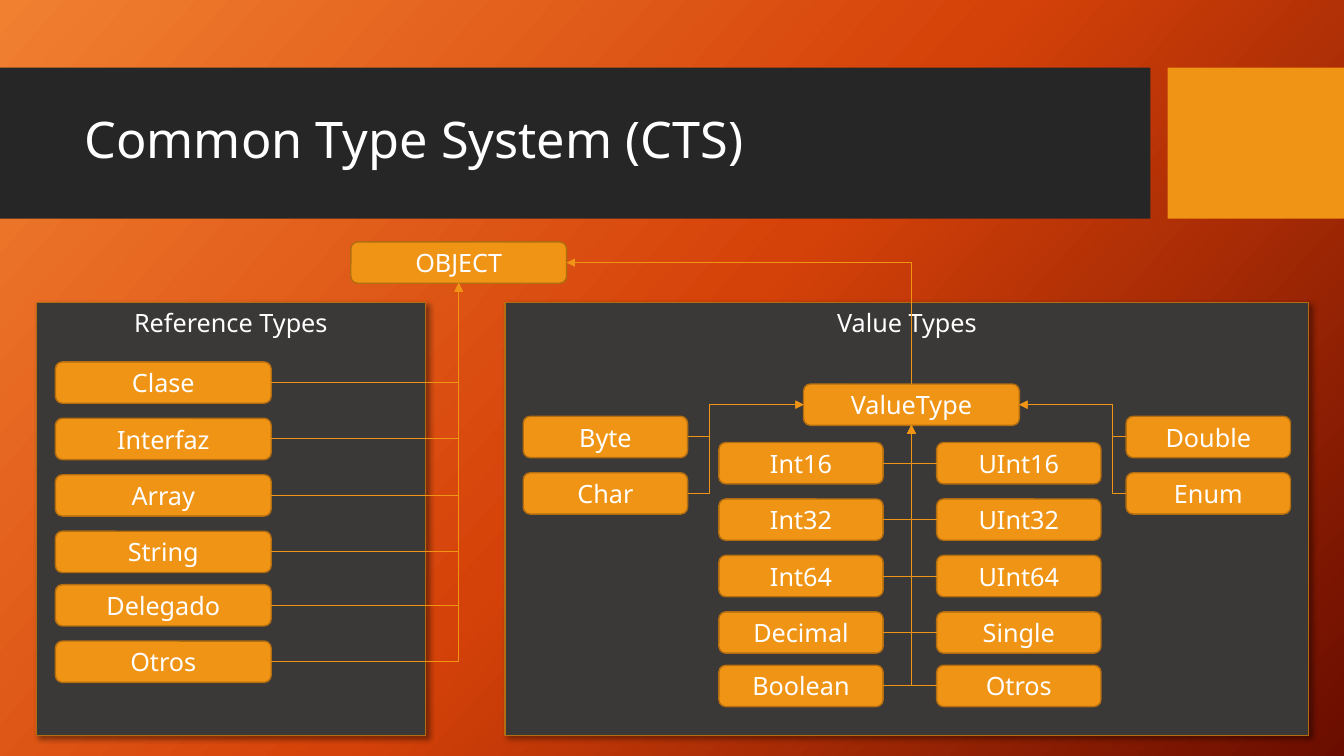
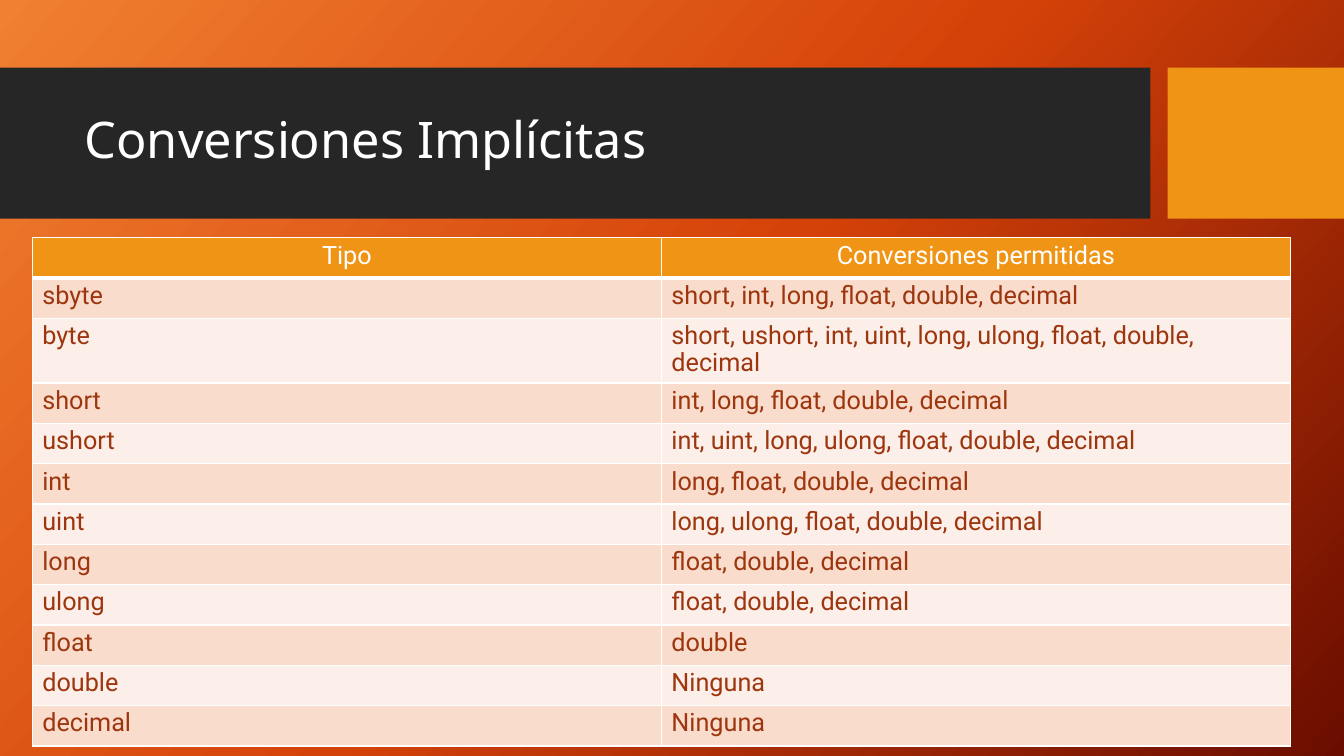
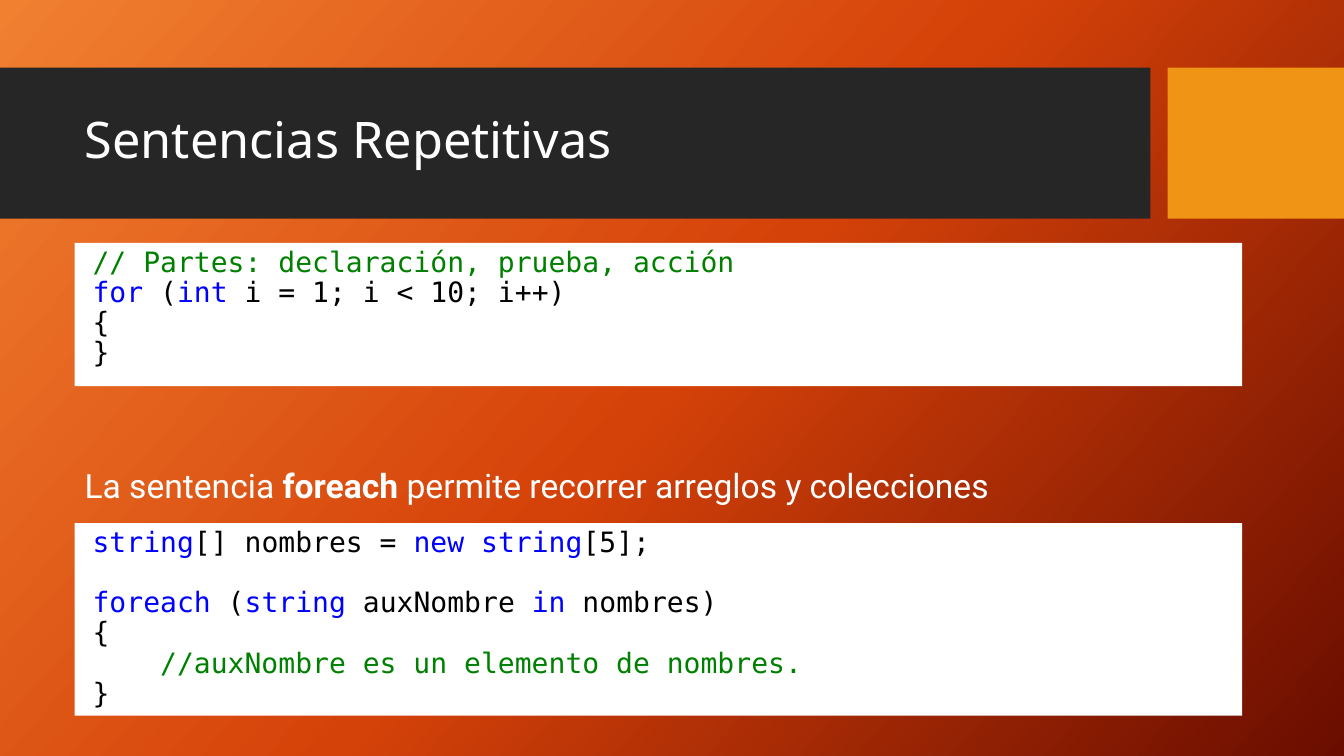
import copy
import enum
from dataclasses import dataclass
from typing import Optional

import lxml.etree
import pptx
import pptx.dml.color
import pptx.enum.shapes
import pptx.enum.text
import pptx.oxml.ns
import pptx.shapes.autoshape
import pptx.shapes.connector
import pptx.slide
import pptx.table
import pptx.text.text
import pptx.util

Inches = pptx.util.Inches
Pt = pptx.util.Pt
qn = pptx.oxml.ns.qn
ShapeKind = pptx.enum.shapes.MSO_SHAPE
Align = pptx.enum.text.PP_ALIGN
Anchor = pptx.enum.text.MSO_ANCHOR

# Shared look
WHITE, BLACK = "FFFFFF", "000000"
ORANGE, ORANGE_EDGE = "F09415", "B26D10"
BAND, PANEL = "262626", "3B3838"
KEYWORD, COMMENT = "0000FF", "008000"
TABLE_TEXT, ROW_FILLS = "9D360E", ("F9DCCC", "FCEEE8")
BACKGROUND = ((0, "F18031"), (0.5, "D54209"), (1, "6A0D00"))
HEADING_FONT, BODY_FONT, CODE_FONT = "Noto Sans", "Roboto", "DejaVu Sans Mono"


class Side(enum.IntEnum):
    TOP = 0
    LEFT = 1
    BOTTOM = 2
    RIGHT = 3


@dataclass(frozen=True)
class Box:
    text: str
    left: float
    top: float
    width: float
    height: float = 0.41


@dataclass(frozen=True)
class Link:
    begin: pptx.shapes.autoshape.Shape
    begin_side: Side
    end: pptx.shapes.autoshape.Shape
    end_side: Side
    bend_x: Optional[float] = None
    arrow: str = "tailEnd"


@dataclass(frozen=True)
class TextRun:
    text: str
    color: str = BLACK
    bold: bool = False


@dataclass(frozen=True)
class CodeLine:
    runs: tuple[TextRun, ...]
    indent: float = 0.08
    space_before: float = 0


def rgb(color: str) -> pptx.dml.color.RGBColor:
    return pptx.dml.color.RGBColor.from_string(color)


def format_run(run: pptx.text.text._Run, font: str, size: float,
               color: str, bold: bool = False) -> None:
    run.font.name = font
    run.font.size = Pt(size)
    run.font.color.rgb = rgb(color)
    run.font.bold = bold


def add_runs(paragraph: pptx.text.text._Paragraph, runs: tuple[TextRun, ...],
             font: str, size: float) -> None:
    for item in runs:
        run = paragraph.add_run()
        run.text = item.text
        format_run(run, font, size, item.color, item.bold)


def add_block(slide: pptx.slide.Slide, box: Box, fill: str,
              edge: Optional[str] = None,
              kind: ShapeKind = ShapeKind.RECTANGLE,
              anchor: Anchor = Anchor.MIDDLE) -> pptx.shapes.autoshape.Shape:
    shape = slide.shapes.add_shape(kind, Inches(box.left), Inches(box.top),
                                   Inches(box.width), Inches(box.height))
    shape.shadow.inherit = False
    shape.fill.solid()
    shape.fill.fore_color.rgb = rgb(fill)
    if edge:
        shape.line.color.rgb = rgb(edge)
        shape.line.width = Pt(1)
    else:
        shape.line.fill.background()
    shape.text_frame.vertical_anchor = anchor
    if box.text:
        shape.text_frame.text = box.text
        paragraph = shape.text_frame.paragraphs[0]
        paragraph.alignment = Align.CENTER
        format_run(paragraph.runs[0], HEADING_FONT, 18, WHITE)
    return shape


def add_type(slide: pptx.slide.Slide, box: Box) -> pptx.shapes.autoshape.Shape:
    return add_block(slide, box, ORANGE, ORANGE_EDGE, ShapeKind.ROUNDED_RECTANGLE)


def add_panel(slide: pptx.slide.Slide, box: Box) -> None:
    panel = add_block(slide, box, PANEL, ORANGE_EDGE, anchor=Anchor.TOP)
    effects = panel._element.spPr.find(qn("a:effectLst"))
    shadow = lxml.etree.SubElement(
        effects, qn("a:outerShdw"), blurRad=str(Pt(4)), dist=str(Pt(3)),
        dir="2700000", algn="tl", rotWithShape="0")
    color = lxml.etree.SubElement(shadow, qn("a:srgbClr"), val=BLACK)
    lxml.etree.SubElement(color, qn("a:alpha"), val="40000")


def add_link(slide: pptx.slide.Slide, link: Link) -> None:
    connector = slide.shapes.add_connector(
        pptx.enum.shapes.MSO_CONNECTOR.ELBOW, 0, 0, 0, 0)
    connector.begin_connect(link.begin, link.begin_side)
    connector.end_connect(link.end, link.end_side)
    connector.line.color.rgb = rgb(ORANGE)
    connector.line.width = Pt(0.75)
    properties = connector._element.spPr
    geometry = properties.find(qn("a:prstGeom"))
    if link.bend_x is None:
        geometry.set("prst", "bentConnector2")
    else:
        share = ((Inches(link.bend_x) - connector.begin_x)
                 / (connector.end_x - connector.begin_x))
        lxml.etree.SubElement(geometry.find(qn("a:avLst")), qn("a:gd"),
                              name="adj1", fmla=f"val {round(share * 100000)}")
    lxml.etree.SubElement(properties.find(qn("a:ln")), qn(f"a:{link.arrow}"),
                          type="triangle")
    lxml.etree.SubElement(properties, qn("a:effectLst"))


def add_titled_slide(presentation: pptx.presentation.Presentation,
                     title: str) -> pptx.slide.Slide:
    slide = presentation.slides.add_slide(presentation.slide_layouts[6])
    # Diagonal background
    fill = slide.background.fill
    fill.gradient()
    fill.gradient_angle = 360 - 42
    stop_list = slide.element.find(".//" + qn("a:gsLst"))
    stop_list.append(copy.deepcopy(stop_list[-1]))
    for stop, (position, color) in zip(fill.gradient_stops, BACKGROUND):
        stop.position = position
        stop.color.rgb = rgb(color)
    # Bands and title
    add_block(slide, Box("", 0, 0.67, 11.41, 1.5), BAND)
    add_block(slide, Box("", 11.58, 0.67, 1.75, 1.5), ORANGE)
    text_box = slide.shapes.add_textbox(Inches(0.74), Inches(0.82),
                                        Inches(10.51), Inches(1.18))
    text_frame = text_box.text_frame
    text_frame.word_wrap = True
    text_frame.vertical_anchor = Anchor.MIDDLE
    text_frame.text = title
    paragraph = text_frame.paragraphs[0]
    paragraph.line_spacing = 0.9
    format_run(paragraph.runs[0], HEADING_FONT, 36, WHITE)
    return slide


def set_borders(cell: pptx.table._Cell, top: float, bottom: float) -> None:
    properties = cell._tc.get_or_add_tcPr()
    widths = {"lnL": 1, "lnR": 1, "lnT": top, "lnB": bottom}
    for index, (name, width) in enumerate(widths.items()):
        line = lxml.etree.Element(qn(f"a:{name}"), w=str(Pt(width)))
        solid = lxml.etree.SubElement(line, qn("a:solidFill"))
        lxml.etree.SubElement(solid, qn("a:srgbClr"), val=WHITE)
        properties.insert(index, line)


def add_code(slide: pptx.slide.Slide, top: float, height: float,
             lines: tuple[CodeLine, ...]) -> None:
    shape = add_block(slide, Box("", 0.74, top, 11.58, height), WHITE,
                      anchor=Anchor.TOP)
    text_frame = shape.text_frame
    for index, line in enumerate(lines):
        paragraph = text_frame.add_paragraph() if index else text_frame.paragraphs[0]
        paragraph.alignment = Align.LEFT
        paragraph.line_spacing = 0.9
        paragraph.space_before = Pt(line.space_before)
        paragraph._p.get_or_add_pPr().set("marL", str(Inches(line.indent)))
        add_runs(paragraph, line.runs, CODE_FONT, 20)


# Type hierarchy
TYPE_TOPS = (3.59, 4.15, 4.71, 5.27, 5.8, 6.36)
REFERENCE_TYPES = ("Clase", "Interfaz", "Array", "String", "Delegado", "Otros")
INNER_COLUMNS = {
    7.13: (Side.RIGHT, ("Int16", "Int32", "Int64", "Decimal", "Boolean")),
    9.29: (Side.LEFT, ("UInt16", "UInt32", "UInt64", "Single", "Otros")),
}


def build_type_system(presentation: pptx.presentation.Presentation) -> None:
    slide = add_titled_slide(presentation, "Common Type System (CTS)")
    root = add_type(slide, Box("OBJECT", 3.48, 2.4, 2.14))
    add_panel(slide, Box("Reference Types", 0.36, 3, 3.86, 4.3))
    add_panel(slide, Box("Value Types", 5.01, 3, 7.97, 4.3))
    links = []
    for name, top in zip(REFERENCE_TYPES, TYPE_TOPS):
        reference = add_type(slide, Box(name, 0.55, top, 2.14))
        links.append(Link(reference, Side.RIGHT, root, Side.BOTTOM))

    value_type = add_type(slide, Box("ValueType", 7.97, 3.81, 2.14))
    links.append(Link(root, Side.RIGHT, value_type, Side.TOP, arrow="headEnd"))
    for left, (side, names) in INNER_COLUMNS.items():
        for name, top in zip(names, TYPE_TOPS):
            inner = add_type(slide, Box(name, left, top + 0.8, 1.63))
            links.append(Link(inner, side, value_type, Side.BOTTOM))
    for row, (left_name, right_name) in enumerate((("Byte", "Double"), ("Char", "Enum"))):
        top = 4.13 + 0.56 * row
        left_box = add_type(slide, Box(left_name, 5.19, top, 1.63))
        right_box = add_type(slide, Box(right_name, 11.17, top, 1.63))
        links.append(Link(left_box, Side.RIGHT, value_type, Side.LEFT, 7.04))
        links.append(Link(value_type, Side.RIGHT, right_box, Side.LEFT, 11.03,
                          "headEnd"))
    for link in links:
        add_link(slide, link)


# Conversion table
CONVERSIONS = (
    ("Tipo", "Conversiones permitidas"),
    ("sbyte", "short, int, long, float, double, decimal"),
    ("byte", "short, ushort, int, uint, long, ulong, float, double, decimal"),
    ("short", "int, long, float, double, decimal"),
    ("ushort", "int, uint, long, ulong, float, double, decimal"),
    ("int", "long, float, double, decimal"),
    ("uint", "long, ulong, float, double, decimal"),
    ("long", "float, double, decimal"),
    ("ulong", "float, double, decimal"),
    ("float", "double"),
    ("double", "Ninguna"),
    ("decimal", "Ninguna"),
)
TALL_ROW = 2


def build_conversions(presentation: pptx.presentation.Presentation) -> None:
    slide = add_titled_slide(presentation, "Conversiones Implícitas")
    table = slide.shapes.add_table(len(CONVERSIONS), 2, Inches(0.32), Inches(2.36),
                                   Inches(12.48), Inches(5.03)).table
    table.horz_banding = False
    for row, texts in enumerate(CONVERSIONS):
        header = row == 0
        table.rows[row].height = Inches(0.63 if row == TALL_ROW else 0.4)
        for column, text in enumerate(texts):
            cell = table.cell(row, column)
            cell.fill.solid()
            cell.fill.fore_color.rgb = rgb(ORANGE if header else ROW_FILLS[(row - 1) % 2])
            set_borders(cell, top=3 if row == 1 else 1, bottom=3 if header else 1)
            cell.text_frame.text = text
            paragraph = cell.text_frame.paragraphs[0]
            paragraph.alignment = Align.CENTER if header else Align.LEFT
            paragraph.line_spacing = 0.9
            format_run(paragraph.runs[0], BODY_FONT, 18, WHITE if header else TABLE_TEXT)


# Loop examples
OPEN_BRACE, CLOSE_BRACE = (CodeLine((TextRun(brace),)) for brace in "{}")
FOR_CODE = (
    CodeLine((TextRun("// Partes: declaración, prueba, acción", COMMENT),)),
    CodeLine((TextRun("for", KEYWORD), TextRun(" ("), TextRun("int", KEYWORD),
              TextRun(" i = 1; i < 10; i++)"))),
    OPEN_BRACE,
    CLOSE_BRACE,
)
FOREACH_CODE = (
    CodeLine((TextRun("string", KEYWORD), TextRun("[] nombres = "),
              TextRun("new string", KEYWORD), TextRun("[5];"))),
    CodeLine((TextRun("foreach", KEYWORD), TextRun(" ("), TextRun("string ", KEYWORD),
              TextRun("auxNombre "), TextRun("in", KEYWORD), TextRun(" nombres)")),
             space_before=21.5),
    OPEN_BRACE,
    CodeLine((TextRun("//auxNombre es un elemento de nombres.", COMMENT),), indent=0.75),
    CLOSE_BRACE,
)
FOREACH_NOTE = (
    TextRun("La sentencia ", WHITE),
    TextRun("foreach", WHITE, bold=True),
    TextRun(" permite recorrer arreglos y colecciones", WHITE),
)


def build_loops(presentation: pptx.presentation.Presentation) -> None:
    slide = add_titled_slide(presentation, "Sentencias Repetitivas")
    add_code(slide, 2.41, 1.42, FOR_CODE)
    add_code(slide, 5.19, 1.91, FOREACH_CODE)
    note = slide.shapes.add_textbox(Inches(0.74), Inches(4.56), Inches(9.34), Inches(0.5))
    note.text_frame.word_wrap = False
    note.text_frame.auto_size = pptx.enum.text.MSO_AUTO_SIZE.SHAPE_TO_FIT_TEXT
    add_runs(note.text_frame.paragraphs[0], FOREACH_NOTE, BODY_FONT, 24)


def main() -> None:
    presentation = pptx.Presentation()
    presentation.slide_width = Inches(13.33)
    presentation.slide_height = Inches(7.5)
    build_type_system(presentation)
    build_conversions(presentation)
    build_loops(presentation)
    presentation.save("out.pptx")


main()
